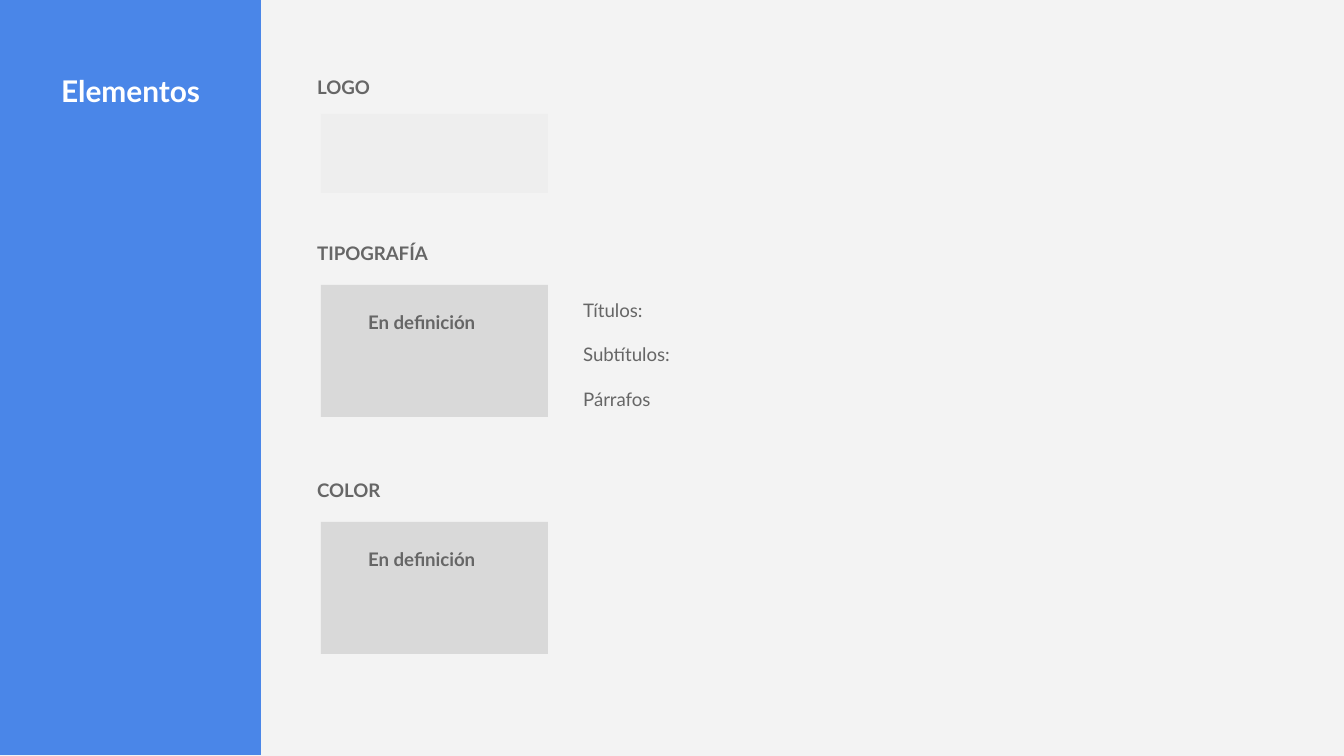
from pptx import Presentation
from pptx import util as u
from pptx.dml.color import RGBColor
from pptx.enum import shapes

PX_PER_INCH = 134.4
FONT = "Lato"
COLORS = {
    "background": "F3F3F3",
    "panel": "4A86E8",
    "title": "FFFFFF",
    "body": "666666",
    "logo": "EEEEEE",
    "card": "D9D9D9",
}


def px(length):
    """Turn whole pixels into EMU."""
    return u.Inches(length / PX_PER_INCH)


def color(key):
    """Look up a palette colour."""
    return RGBColor.from_string(COLORS[key])


def add_block(slide, left, top, width, height, fill):
    """Draw a plain filled rectangle."""
    block = slide.shapes.add_shape(
        shapes.MSO_SHAPE.RECTANGLE, px(left), px(top), px(width), px(height))
    block.shadow.inherit = False
    block.fill.solid()
    block.fill.fore_color.rgb = color(fill)
    block.line.fill.background()


def add_label(slide, left, top, width, height, lines, size=10, ink="body", bold=True):
    """Write one paragraph per line, with a line's gap between them."""
    frame = slide.shapes.add_textbox(px(left), px(top), px(width), px(height)).text_frame
    frame.word_wrap = True
    frame.margin_left = frame.margin_right = u.Inches(0.1)
    frame.margin_top = frame.margin_bottom = u.Inches(0.1)
    frame.text = "\n".join(lines)
    for index, paragraph in enumerate(frame.paragraphs):
        if index:
            paragraph.space_before = u.Pt(12)
        for run in paragraph.runs:
            run.font.name = FONT
            run.font.size = u.Pt(size)
            run.font.bold = bold
            run.font.color.rgb = color(ink)


def add_heading(slide, top, heading):
    """Write a section heading."""
    add_label(slide, 304, top, 160, 54, [heading])


def add_pending_section(slide, top, heading):
    """Draw a heading above a card that is still to be defined."""
    add_heading(slide, top, heading)
    add_block(slide, 321, top + 54, 227, 132, "card")
    add_label(slide, 355, top + 69, 160, 54, ["En definición"])


def main():
    """Build the slide of brand elements."""
    deck = Presentation()
    deck.slide_width, deck.slide_height = px(1344), px(756)
    slide = deck.slides.add_slide(deck.slide_layouts[6])
    slide.background.fill.solid()
    slide.background.fill.fore_color.rgb = color("background")

    add_block(slide, 0, -1, 261, 756, "panel")
    add_label(slide, 48, 59, 183, 66, ["Elementos"], size=16, ink="title")

    add_heading(slide, 65, "LOGO")
    add_block(slide, 321, 114, 227, 79, "logo")

    for top, heading in ((231, "TIPOGRAFÍA"), (468, "COLOR")):
        add_pending_section(slide, top, heading)
    add_label(slide, 570, 285, 160, 122,
              ["Títulos:", "Subtítulos:", "Párrafos"], bold=False)

    deck.save("out.pptx")


if __name__ == "__main__":
    main()
